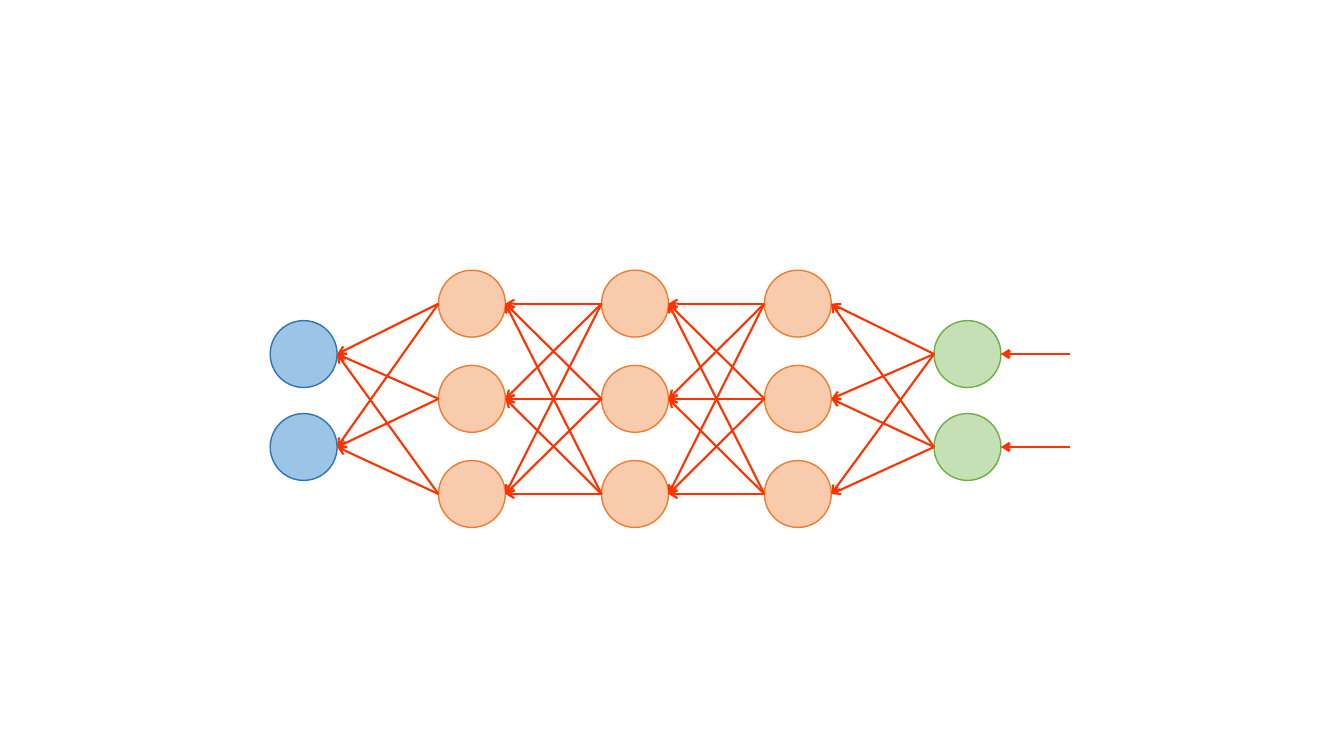
from itertools import product

from lxml.etree import SubElement
from pptx import Presentation
from pptx.dml.color import RGBColor
from pptx.enum.shapes import MSO_CONNECTOR, MSO_SHAPE
from pptx.oxml.ns import qn
from pptx.util import Pt

INPUT_FILL, INPUT_LINE = RGBColor(0x9D, 0xC3, 0xE6), RGBColor(0x2E, 0x75, 0xB6)
HIDDEN_FILL, HIDDEN_LINE = RGBColor(0xF8, 0xCB, 0xAD), RGBColor(0xED, 0x7D, 0x31)
OUTPUT_FILL, OUTPUT_LINE = RGBColor(0xC5, 0xE0, 0xB4), RGBColor(0x70, 0xAD, 0x47)
GRADIENT_RED = RGBColor(0xFF, 0x33, 0x00)

NEURON_SIZE = 47.8
MIDDLE_Y = 284.9
HIDDEN_PITCH = 68
OUTER_TOP, OUTER_PITCH = 252.9, 66.4
ERROR_LENGTH = 49

OUTER_ROWS = [OUTER_TOP + OUTER_PITCH * row for row in range(2)]
HIDDEN_ROWS = [MIDDLE_Y + HIDDEN_PITCH * (row - 1) for row in range(3)]

# Left edge, neuron centre heights, fill and outline of each layer
LAYERS = [
    (193, OUTER_ROWS, INPUT_FILL, INPUT_LINE),
    (313.2, HIDDEN_ROWS, HIDDEN_FILL, HIDDEN_LINE),
    (429.7, HIDDEN_ROWS, HIDDEN_FILL, HIDDEN_LINE),
    (546, HIDDEN_ROWS, HIDDEN_FILL, HIDDEN_LINE),
    (667.2, OUTER_ROWS, OUTPUT_FILL, OUTPUT_LINE),
]


def add_neuron(slide, left, center_y, fill, outline):
    neuron = slide.shapes.add_shape(
        MSO_SHAPE.OVAL, Pt(left), Pt(center_y - NEURON_SIZE / 2),
        Pt(NEURON_SIZE), Pt(NEURON_SIZE))
    neuron.shadow.inherit = False
    neuron.fill.solid()
    neuron.fill.fore_color.rgb = fill
    neuron.line.color.rgb = outline
    neuron.line.width = Pt(1)


def add_arrow(slide, start, end, width):
    arrow = slide.shapes.add_connector(
        MSO_CONNECTOR.STRAIGHT, *(Pt(length) for length in (*start, *end)))
    arrow.line.color.rgb = GRADIENT_RED
    arrow.line.width = Pt(width)
    SubElement(arrow.line._get_or_add_ln(), qn("a:tailEnd"), type="arrow")
    SubElement(arrow._element.spPr, qn("a:effectLst"))


def add_backward_pass(slide, receiving, sending):
    """Link every neuron of a layer back to every neuron of the layer before."""
    receiving_left, receiving_rows = receiving[:2]
    sending_left, sending_rows = sending[:2]
    for start_y, end_y in product(sending_rows, receiving_rows):
        add_arrow(slide, (sending_left, start_y),
                  (receiving_left + NEURON_SIZE, end_y), 1.5)


def main():
    presentation = Presentation()
    presentation.slide_width, presentation.slide_height = Pt(960), Pt(540)
    slide = presentation.slides.add_slide(presentation.slide_layouts[6])

    for left, rows, fill, outline in LAYERS:
        for center_y in rows:
            add_neuron(slide, left, center_y, fill, outline)

    for receiving, sending in zip(LAYERS, LAYERS[1:]):
        add_backward_pass(slide, receiving, sending)

    output_right = LAYERS[-1][0] + NEURON_SIZE
    for center_y in OUTER_ROWS:
        add_arrow(slide, (output_right + ERROR_LENGTH, center_y),
                  (output_right, center_y), 2)

    presentation.save("out.pptx")


if __name__ == "__main__":
    main()
